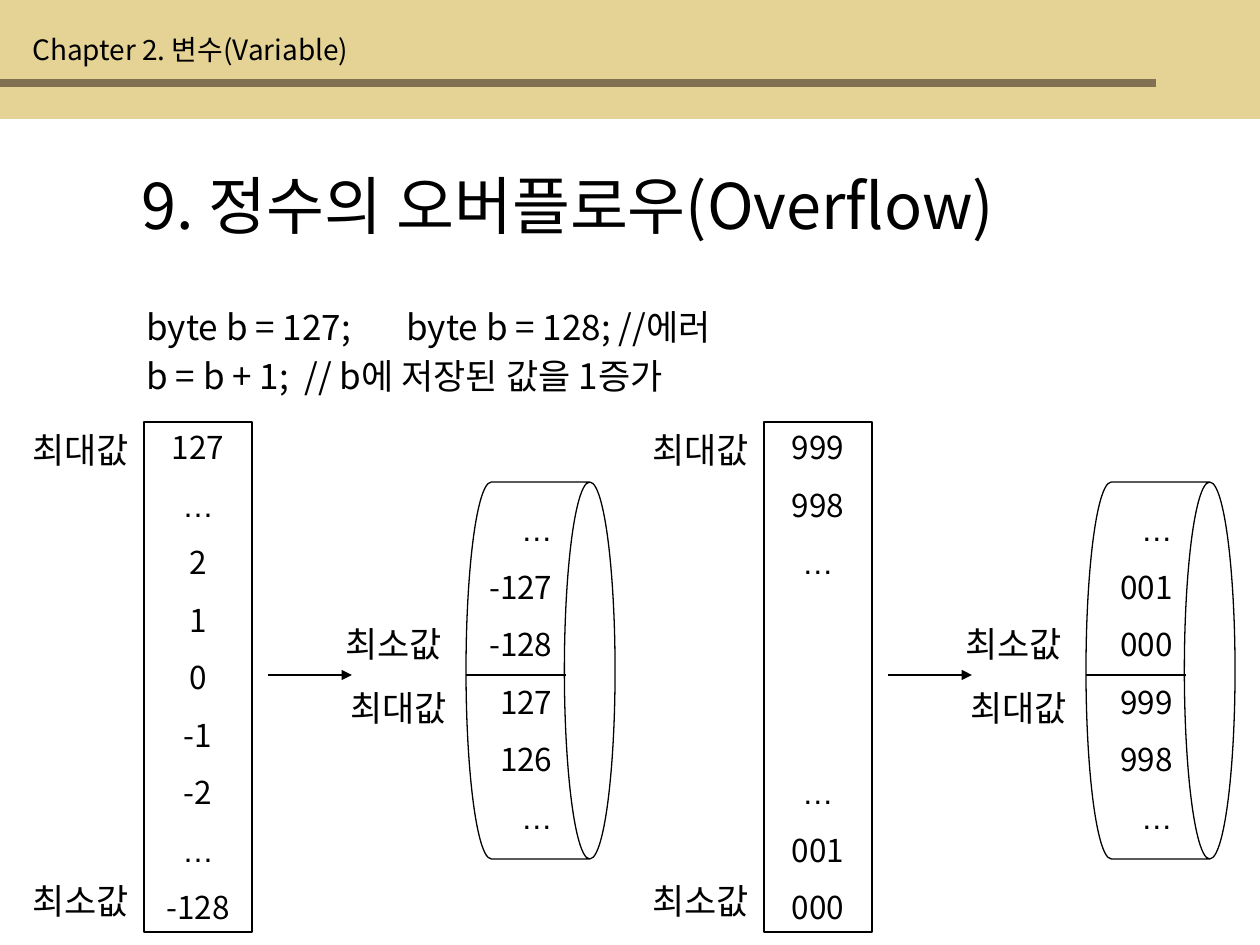
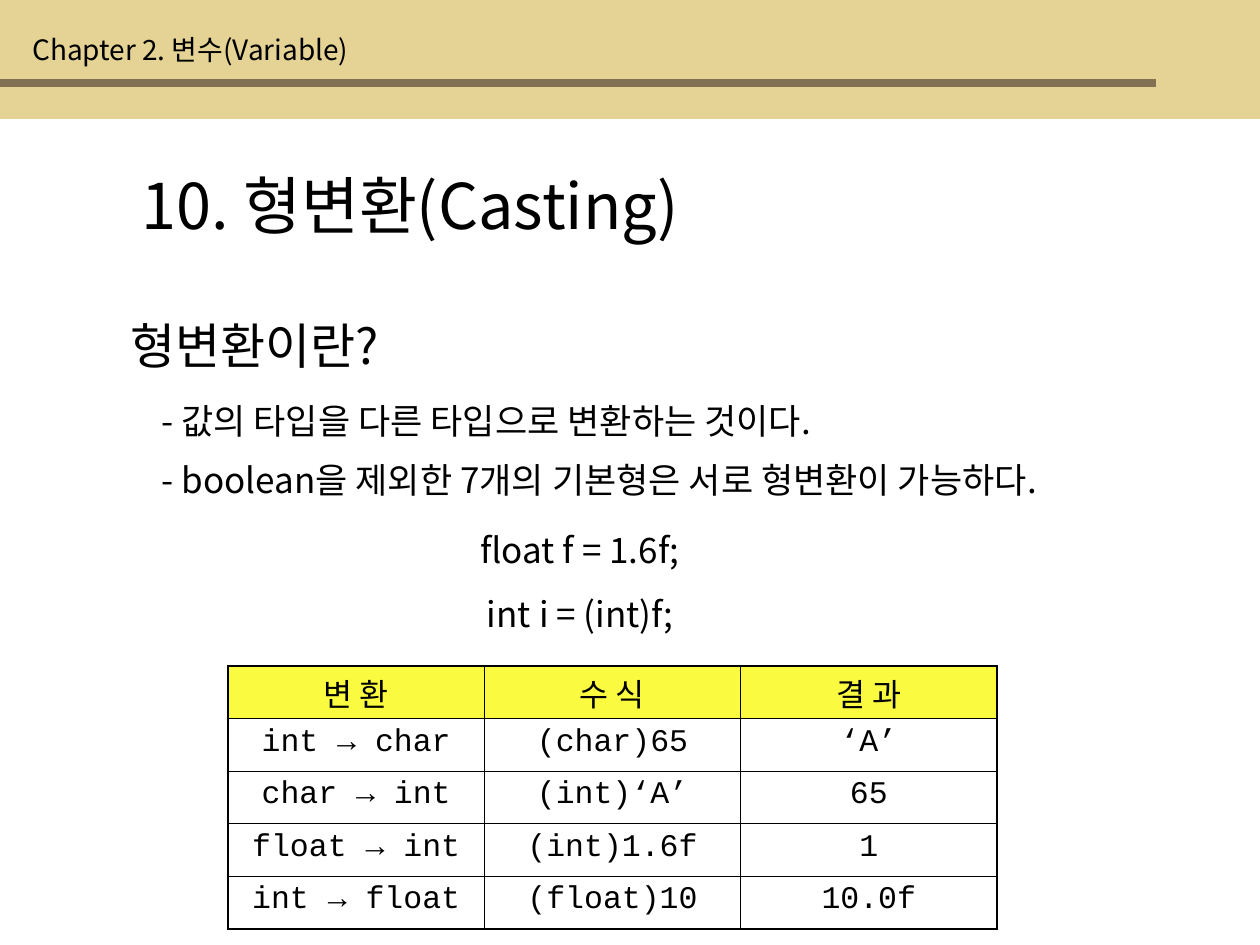
import pptx
import pptx.util
import pptx.dml.color
import pptx.enum.shapes
import pptx.enum.text
import pptx.oxml.ns
from lxml import etree

COLORS = {"ink": "000000", "band": "E4D394", "rule": "817051", "header": "FAFA40"}
BODY, CODE, DOTS = "Noto Sans CJK KR", "Courier New", "Arial"
LINE_HEIGHT, PARAGRAPH_GAP = 1.2, 0.625
CHAPTER = "Chapter 2. 변수(Variable)"

OVERFLOW = {
    "title": "9. 정수의 오버플로우(Overflow)",
    "code": [
        ("byte b = 127;\tbyte b = 128; //에러", 299, 260),
        ("b = b + 1;\t// b에 저장된 값을 1증가", 348, 158),
    ],
    "ranges": [
        {"values": ["127", "…", "2", "1", "0", "-1", "-2", "…", "-128"],
         "wheel": ["…", "-127", "-128", "127", "126", "…"]},
        {"values": ["999", "998", "…", None, None, None, "…", "001", "000"],
         "wheel": ["…", "001", "000", "999", "998", "…"]},
    ],
    "labels": [("최대값", 20, 422), ("최소값", 20, 873),
               ("최대값", 338, 680), ("최소값", 333, 616)],
}
RANGE_PITCH = 620

CASTING = {
    "title": "10. 형변환(Casting)",
    "question": "형변환이란?",
    "answers": [
        ("- 값의 타입을 다른 타입으로 변환하는 것이다.", 393),
        ("- boolean을 제외한 7개의 기본형은 서로 형변환이 가능하다.", 452),
    ],
    "code": ["float f = 1.6f;", "int i = (int)f;"],
    "conversions": [
        ("변 환", "수 식", "결 과"),
        ("int → char", "(char)65", "‘A’"),
        ("char → int", "(int)‘A’", "65"),
        ("float → int", "(int)1.6f", "1"),
        ("int → float", "(float)10", "10.0f"),
    ],
}

ALIGN = pptx.enum.text.PP_ALIGN
SHAPE = pptx.enum.shapes.MSO_SHAPE
qn = pptx.oxml.ns.qn


def px(length):
    return pptx.util.Emu(round(length * 914400 / 126))


def box(*lengths):
    return [px(length) for length in lengths]


def rgb(name):
    return pptx.dml.color.RGBColor.from_string(COLORS[name])


def add_run(paragraph, text, size, font=BODY):
    run = paragraph.add_run()
    run.text = text
    run.font.size = pptx.util.Pt(size)
    run.font.name = font
    run.font.color.rgb = rgb("ink")
    etree.SubElement(run.font._element, qn("a:ea"), typeface=font)


def write(shape, lines, size, align=ALIGN.LEFT, tab=None):
    frame = shape.text_frame
    frame.word_wrap = True
    frame.auto_size = pptx.enum.text.MSO_AUTO_SIZE.NONE
    frame.vertical_anchor = pptx.enum.text.MSO_ANCHOR.TOP
    skipped = 0
    for index, line in enumerate(lines):
        if line is None:
            skipped += 1
            continue
        paragraph = frame.add_paragraph() if index else frame.paragraphs[0]
        paragraph.alignment = align
        paragraph.line_spacing = pptx.util.Pt(size * LINE_HEIGHT)
        gap = PARAGRAPH_GAP + skipped * (LINE_HEIGHT + PARAGRAPH_GAP)
        paragraph.space_before = pptx.util.Pt(size * gap if index else 0)
        skipped = 0
        if tab:
            tabs = etree.SubElement(paragraph._p.get_or_add_pPr(), qn("a:tabLst"))
            etree.SubElement(tabs, qn("a:tab"), pos=str(px(tab)), algn="l")
        add_run(paragraph, line, size, DOTS if line == "…" else BODY)


def add_text(slide, place, lines, size, **layout):
    write(slide.shapes.add_textbox(*box(*place)), lines, size, **layout)


def add_figure(slide, kind, place, fill=None):
    figure = slide.shapes.add_shape(kind, *box(*place))
    figure.shadow.inherit = False
    if fill:
        figure.fill.solid()
        figure.fill.fore_color.rgb = rgb(fill)
        figure.line.fill.background()
    else:
        figure.fill.background()
        figure.line.color.rgb = rgb("ink")
        figure.line.width = pptx.util.Pt(0.75)
    return figure


def add_line(slide, start, end, y, width, arrow=False):
    line = slide.shapes.add_connector(
        pptx.enum.shapes.MSO_CONNECTOR.STRAIGHT, *box(start, y, end, y))
    line.line.color.rgb = rgb("ink")
    line.line.width = pptx.util.Pt(width)
    if arrow:
        etree.SubElement(line.line._get_or_add_ln(), qn("a:tailEnd"), type="triangle")
    etree.SubElement(line._element.spPr, qn("a:effectLst"))


def add_slide(deck, title):
    slide = deck.slides.add_slide(deck.slide_layouts[5])
    add_figure(slide, SHAPE.RECTANGLE, (0, 0, 1260, 119), "band")
    add_figure(slide, SHAPE.RECTANGLE, (0, 79, 1156, 8), "rule")
    add_text(slide, (20, 26, 500, 47), [CHAPTER], 16)
    heading = slide.shapes.title
    heading.left, heading.top, heading.width, heading.height = box(129, 160, 1037, 88)
    write(heading, [title], 36)
    return slide


def add_range(slide, left, values, wheel):
    column = add_figure(slide, SHAPE.RECTANGLE, (left + 144, 422, 108, 510))
    write(column, values, 18, align=ALIGN.CENTER)
    cylinder = add_figure(slide, SHAPE.CAN, (left + 352, 596, 377, 149))
    cylinder.rotation = 90
    cylinder.adjustments[0] = 0.34
    add_text(slide, (left + 437, 504, 128, 338), wheel, 18, align=ALIGN.RIGHT)
    for label, x, y in OVERFLOW["labels"]:
        add_text(slide, (left + x, y, 139, 55), [label], 20)
    add_line(slide, left + 466, left + 566, 675, 0.75)
    add_line(slide, left + 268, left + 352, 675, 1, arrow=True)


def format_cell(cell, text, header, edges):
    properties = cell._tc.get_or_add_tcPr()
    for side in "LRTB":
        width = pptx.util.Pt(1.08 if side in edges else 0.45)
        border = etree.SubElement(properties, qn("a:ln" + side), w=str(width))
        fill = etree.SubElement(border, qn("a:solidFill"))
        etree.SubElement(fill, qn("a:srgbClr"), val=COLORS["ink"])
    paragraph = cell.text_frame.paragraphs[0]
    paragraph.alignment = ALIGN.CENTER
    if header:
        cell.fill.solid()
        cell.fill.fore_color.rgb = rgb("header")
        cell.margin_top, cell.margin_bottom = box(12, 2)
        paragraph.line_spacing = pptx.util.Pt(18 * LINE_HEIGHT)
    else:
        cell.fill.background()
    add_run(paragraph, text, 18, BODY if header else CODE)


def add_conversions(slide, rows):
    last_row, last_column = len(rows) - 1, len(rows[0]) - 1
    table = slide.shapes.add_table(
        len(rows), len(rows[0]), *box(228, 666, 769, 263)).table
    table.first_row = table.horz_banding = False
    for r, row in enumerate(rows):
        for c, text in enumerate(row):
            outer = {"L": c == 0, "R": c == last_column, "T": r == 0, "B": r == last_row}
            edges = [side for side, outside in outer.items() if outside]
            format_cell(table.cell(r, c), text, r == 0, edges)


def main():
    deck = pptx.Presentation()
    deck.slide_width, deck.slide_height = box(1260, 945)

    overflow = add_slide(deck, OVERFLOW["title"])
    for code, top, tab in OVERFLOW["code"]:
        add_text(overflow, (134, top, 779, 55), [code], 20, tab=tab)
    for index, number_range in enumerate(OVERFLOW["ranges"]):
        add_range(overflow, index * RANGE_PITCH, **number_range)

    casting = add_slide(deck, CASTING["title"])
    add_text(casting, (118, 309, 328, 72), [CASTING["question"]], 28)
    for answer, top in CASTING["answers"]:
        add_text(casting, (149, top, 1111, 55), [answer], 20)
    add_text(casting, (223, 522, 714, 118), CASTING["code"], 20, align=ALIGN.CENTER)
    add_conversions(casting, CASTING["conversions"])

    deck.save("out.pptx")


if __name__ == "__main__":
    main()
